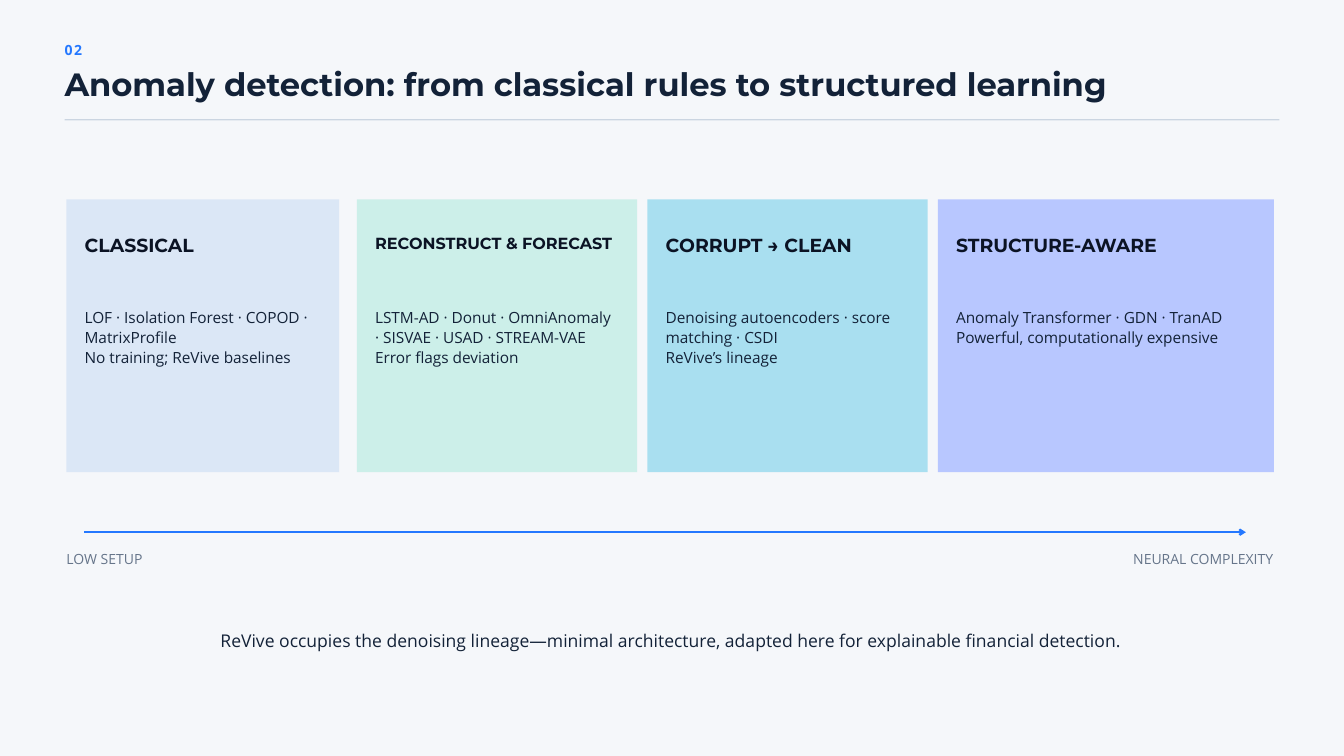
from dataclasses import dataclass

import pptx
import pptx.dml.color
import pptx.enum.shapes
import pptx.enum.text
import pptx.oxml
import pptx.oxml.ns
import pptx.util
from pptx.util import Cm

ALIGN = pptx.enum.text.PP_ALIGN


@dataclass(frozen=True)
class TextStyle:
    font: str
    size: float
    color: str
    leading: float
    bold: bool = False
    tracking: int = 0


class Theme:
    background = "F5F7FA"
    accent = "2478FF"
    rule = "CBD5E1"
    number = TextStyle("Open Sans", 15, accent, 21, True, 180)
    title = TextStyle("Montserrat", 34.5, "132238", 36.2, True)
    heading = TextStyle("Montserrat", 20.2, "0B1324", 21.3, True)
    small_heading = TextStyle("Montserrat", 17.2, "0B1324", 18.1, True)
    body = TextStyle("Open Sans", 16.5, "132238", 21.4)
    axis = TextStyle("Open Sans", 15, "66758A", 18.8)
    closing = TextStyle("Open Sans", 18.8, "132238", 24.4)


class SlideBuilder:
    """Draw themed elements on one slide."""

    def __init__(self, page, theme):
        self.page = page
        self.theme = theme
        page.background.fill.solid()
        page.background.fill.fore_color.rgb = self.color(theme.background)

    def color(self, value):
        return pptx.dml.color.RGBColor.from_string(value)

    def set_lines(self, box, lines, style, align):
        frame = box.text_frame
        frame.word_wrap = True
        frame.auto_size = pptx.enum.text.MSO_AUTO_SIZE.NONE
        frame.vertical_anchor = pptx.enum.text.MSO_ANCHOR.TOP
        frame.margin_left = frame.margin_right = 0
        frame.margin_top = frame.margin_bottom = 0
        for index, line in enumerate(lines):
            para = frame.add_paragraph() if index else frame.paragraphs[0]
            para.alignment = align
            para.line_spacing = pptx.util.Pt(style.leading)
            span = para.add_run()
            span.text = line
            span.font.name = style.font
            span.font.size = pptx.util.Pt(style.size)
            span.font.bold = style.bold
            span.font.color.rgb = self.color(style.color)
            if style.tracking:
                span._r.get_or_add_rPr().set("spc", str(style.tracking))

    def title(self, left, top, width, height, line):
        box = self.page.shapes.title
        box.left, box.top, box.width, box.height = map(Cm, (left, top, width, height))
        self.set_lines(box, [line], self.theme.title, ALIGN.LEFT)

    def text(self, left, top, width, height, lines, style, align=ALIGN.LEFT):
        box = self.page.shapes.add_textbox(Cm(left), Cm(top), Cm(width), Cm(height))
        self.set_lines(box, lines, style, align)

    def block(self, left, top, width, height, fill):
        box = self.page.shapes.add_shape(
            pptx.enum.shapes.MSO_SHAPE.RECTANGLE, Cm(left), Cm(top), Cm(width), Cm(height)
        )
        box.shadow.inherit = False
        box.fill.solid()
        box.fill.fore_color.rgb = self.color(fill)
        box.line.fill.background()

    def card(self, left, width, fill, heading, heading_style, lines):
        inset = 0.69
        inner = width - 2 * inset
        self.block(left, 7.54, width, 10.31, fill)
        self.text(left + inset, 8.92, inner, 0.79, [heading], heading_style)
        self.text(left + inset, 11.61, inner, 2.2, lines, self.theme.body)

    def arrow(self, start, end, top):
        line = self.page.shapes.add_connector(
            pptx.enum.shapes.MSO_CONNECTOR.STRAIGHT, Cm(start), Cm(top), Cm(end), Cm(top)
        )
        line.line.color.rgb = self.color(self.theme.accent)
        line.line.width = pptx.util.Pt(2.25)
        outline = line.line._get_or_add_ln()
        head = pptx.oxml.parse_xml(f'<a:tailEnd {pptx.oxml.ns.nsdecls("a")} type="arrow"/>')
        outline.append(head)
        effects = pptx.oxml.parse_xml(f'<a:effectLst {pptx.oxml.ns.nsdecls("a")}/>')
        outline.addnext(effects)


def main():
    theme = Theme()
    deck = pptx.Presentation()
    deck.slide_width, deck.slide_height = Cm(50.8), Cm(28.58)
    page = deck.slides.add_slide(deck.slide_layouts.get_by_name("Title Only"))
    builder = SlideBuilder(page, theme)

    margin = 2.44
    builder.text(margin, 1.45, 5.28, 0.71, ["02"], theme.number)
    builder.title(
        margin, 2.62, 39.67, 1.32,
        "Anomaly detection: from classical rules to structured learning",
    )
    builder.block(margin, 4.5, 45.92, 0.05, theme.rule)

    cards = [
        (10.31, "DBE7F6", "CLASSICAL", theme.heading,
         ["LOF · Isolation Forest · COPOD · MatrixProfile", "No training; ReVive baselines"]),
        (10.59, "CCEFE9", "RECONSTRUCT & FORECAST", theme.small_heading,
         ["LSTM-AD · Donut · OmniAnomaly · SISVAE · USAD · STREAM-VAE",
          "Error flags deviation"]),
        (10.59, "A9DFF0", "CORRUPT → CLEAN", theme.heading,
         ["Denoising autoencoders · score matching · CSDI", "ReVive’s lineage"]),
        (12.7, "B8C7FF", "STRUCTURE-AWARE", theme.heading,
         ["Anomaly Transformer · GDN · TranAD", "Powerful, computationally expensive"]),
    ]
    first_left, pitch = 2.51, 10.98
    for index, card in enumerate(cards):
        builder.card(first_left + index * pitch, *card)

    builder.arrow(3.18, 47.09, 20.12)
    builder.text(first_left, 20.78, 7.92, 0.64, ["LOW SETUP"], theme.axis)
    builder.text(38.35, 20.78, 9.78, 0.64, ["NEURAL COMPLEXITY"], theme.axis, ALIGN.RIGHT)
    builder.text(
        7.92, 23.75, 34.92, 0.84,
        ["ReVive occupies the denoising lineage—minimal architecture, "
         "adapted here for explainable financial detection."],
        theme.closing, ALIGN.CENTER,
    )
    deck.save("out.pptx")


if __name__ == "__main__":
    main()
